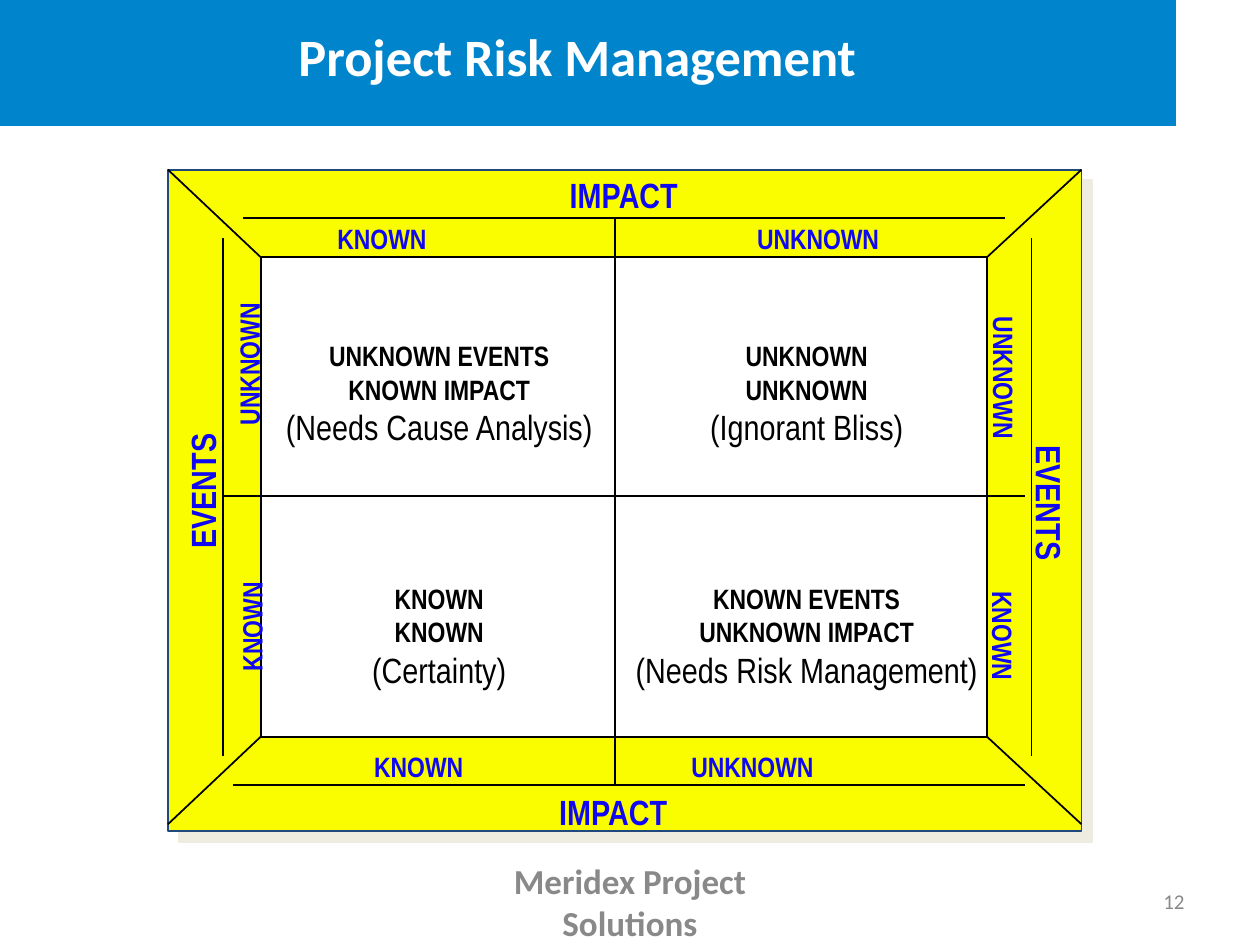
from dataclasses import dataclass

from lxml.etree import SubElement
from pptx import Presentation
from pptx.dml.color import RGBColor
from pptx.enum.shapes import MSO_CONNECTOR, MSO_SHAPE
from pptx.enum.text import MSO_ANCHOR, MSO_AUTO_SIZE, PP_ALIGN
from pptx.oxml.ns import qn
from pptx.util import Pt


@dataclass(frozen=True)
class Theme:
    banner: str = "0084CC"
    frame: str = "FAFD00"
    frame_line: str = "1F497D"
    shadow: str = "EEECE1"
    label: str = "0F08F0"
    white: str = "FFFFFF"
    black: str = "000000"
    muted: str = "898989"
    body_font: str = "Arial Narrow"
    title_font: str = "Calibri"
    title: int = 30
    large: int = 20
    small: int = 16
    number: int = 12


T = Theme()


def rgb(value):
    return RGBColor.from_string(value)


def set_font(p, size, color, name=T.body_font, bold=True):
    f = p.font
    f.size, f.name, f.bold = Pt(size), name, bold
    f.color.rgb = rgb(color)


def add_rect(shapes, box, fill, line=None):
    sp = shapes.add_shape(MSO_SHAPE.RECTANGLE, *map(Pt, box))
    sp.shadow.inherit = False
    sp.fill.solid()
    sp.fill.fore_color.rgb = rgb(fill)
    if line:
        sp.line.color.rgb = rgb(line)
        sp.line.width = Pt(1)
    else:
        sp.line.fill.background()
    return sp


def add_drop_shadow(sp):
    effects = sp._element.spPr.find(qn("a:effectLst"))
    shadow = SubElement(effects, qn("a:outerShdw"), dist=str(Pt(8.5)),
                        dir="2700000", algn="ctr", rotWithShape="0")
    SubElement(shadow, qn("a:srgbClr"), val=T.shadow)


def add_line(shapes, x1, y1, x2, y2):
    c = shapes.add_connector(MSO_CONNECTOR.STRAIGHT, *map(Pt, (x1, y1, x2, y2)))
    c.line.color.rgb = rgb(T.black)
    c.line.width = Pt(1)
    SubElement(c._element.spPr, qn("a:effectLst"))


def add_centred_text(shapes, cx, cy, w, h, lines, align, rotation=0):
    """Place an unwrapped text box around a centre; lines are (text, size, color, bold)."""
    tb = shapes.add_textbox(Pt(cx - w / 2), Pt(cy - h / 2), Pt(w), Pt(h))
    tb.rotation = rotation
    tf = tb.text_frame
    tf.word_wrap = False
    tf.auto_size = MSO_AUTO_SIZE.SHAPE_TO_FIT_TEXT
    for i, (text, size, color, bold) in enumerate(lines):
        p = tf.paragraphs[0] if i == 0 else tf.add_paragraph()
        p.text, p.alignment = text, align
        set_font(p, size, color, bold=bold)


def add_header(s, box):
    banner = add_rect(s.shapes, (0, 0, 672, 72), T.banner)
    s.shapes._spTree.insert(2, banner._element)
    title = s.shapes.title
    title.left, title.top, title.width, title.height = map(Pt, box)
    tf = title.text_frame
    tf.vertical_anchor = MSO_ANCHOR.MIDDLE
    p = tf.paragraphs[0]
    p.text, p.alignment = "Project Risk Management", PP_ALIGN.CENTER
    set_font(p, T.title, T.white, T.title_font)


def add_frame(shapes, x, y, w, h):
    """Draw the bevelled border, the inner panel and the dividing lines."""
    add_drop_shadow(add_rect(shapes, (x, y, w, h), T.frame, T.frame_line))
    left, top, right, bottom = 53, 50, 468, 324
    add_rect(shapes, (x + left, y + top, right - left, bottom - top), T.white, T.black)
    lines = [
        (32, 186.5, 489.5, 186.5), (255.5, 28, 255.5, 351),      # quadrant axes
        (31.5, 39, 31.5, 335), (493.5, 39, 493.5, 335),          # side rules
        (43, 27.5, 478.5, 27.5), (37, 351.5, 489.5, 351.5),      # top and bottom rules
        (0, 0, left, top), (0, h - 4, left, bottom),             # corner bevels
        (w, 0, right, top), (w, h - 4, right, bottom),
    ]
    for x1, y1, x2, y2 in lines:
        add_line(shapes, x + x1, y + y1, x + x2, y + y2)


def add_labels(shapes, x, y):
    styles = {"KNOWN": (65.5, 26, T.small), "UNKNOWN": (84, 26, T.small),
              "IMPACT": (77, 31, T.large), "EVENTS": (80, 31, T.large)}
    labels = [
        ("IMPACT", 261, 14, 0), ("KNOWN", 122.5, 39, 0), ("UNKNOWN", 371.5, 39, 0),
        ("IMPACT", 255, 366.5, 0), ("KNOWN", 143.5, 341, 0), ("UNKNOWN", 334, 341, 0),
        ("EVENTS", 19.5, 183.5, 270), ("UNKNOWN", 46, 111, 270), ("KNOWN", 47.5, 261, 270),
        ("EVENTS", 504, 190.5, 90), ("UNKNOWN", 478, 119, 90), ("KNOWN", 477.5, 266.5, 90),
    ]
    for text, cx, cy, rotation in labels:
        w, h, size = styles[text]
        add_centred_text(shapes, x + cx, y + cy, w, h, [(text, size, T.label, True)],
                         PP_ALIGN.LEFT, rotation)


def add_quadrants(shapes, x, y):
    columns, rows = (155, 365), (127.5, 266)
    quadrants = [
        (0, 0, 191, "UNKNOWN EVENTS", "KNOWN IMPACT", "(Needs Cause Analysis)"),
        (1, 0, 125, "UNKNOWN", "UNKNOWN", "(Ignorant Bliss)"),
        (0, 1, 91, "KNOWN", "KNOWN", "(Certainty)"),
        (1, 1, 210, "KNOWN EVENTS", "UNKNOWN IMPACT", "(Needs Risk Management)"),
    ]
    for col, row, w, events, impact, note in quadrants:
        lines = [(events, T.small, T.black, True), (impact, T.small, T.black, True),
                 (note, T.large, T.black, False)]
        add_centred_text(shapes, x + columns[col], y + rows[row], w, 69, lines,
                         PP_ALIGN.CENTER)


def add_matrix(s, box):
    x, y, w, h = box
    group = s.shapes.add_group_shape()
    add_frame(group.shapes, x, y, w, h)
    add_labels(group.shapes, x, y)
    add_quadrants(s.shapes, x, y)


def add_footer(s, y, h):
    items = [
        ("Meridex Project Solutions", 246, 228, PP_ALIGN.CENTER, T.large, True),
        ("12", 516, 168, PP_ALIGN.RIGHT, T.number, False),
    ]
    for text, x, w, align, size, bold in items:
        tf = s.shapes.add_textbox(*map(Pt, (x, y, w, h))).text_frame
        tf.word_wrap = True
        tf.vertical_anchor = MSO_ANCHOR.MIDDLE
        p = tf.paragraphs[0]
        p.text, p.alignment = text, align
        set_font(p, size, T.muted, T.title_font, bold)


def main():
    prs = Presentation()
    prs.slide_width, prs.slide_height = Pt(720), Pt(540)
    s = prs.slides.add_slide(prs.slide_layouts[5])
    add_header(s, (0, 0, 660, 63))
    add_matrix(s, (96, 97, 522, 378))
    add_footer(s, 500.5, 28.75)
    prs.save("out.pptx")


if __name__ == "__main__":
    main()
